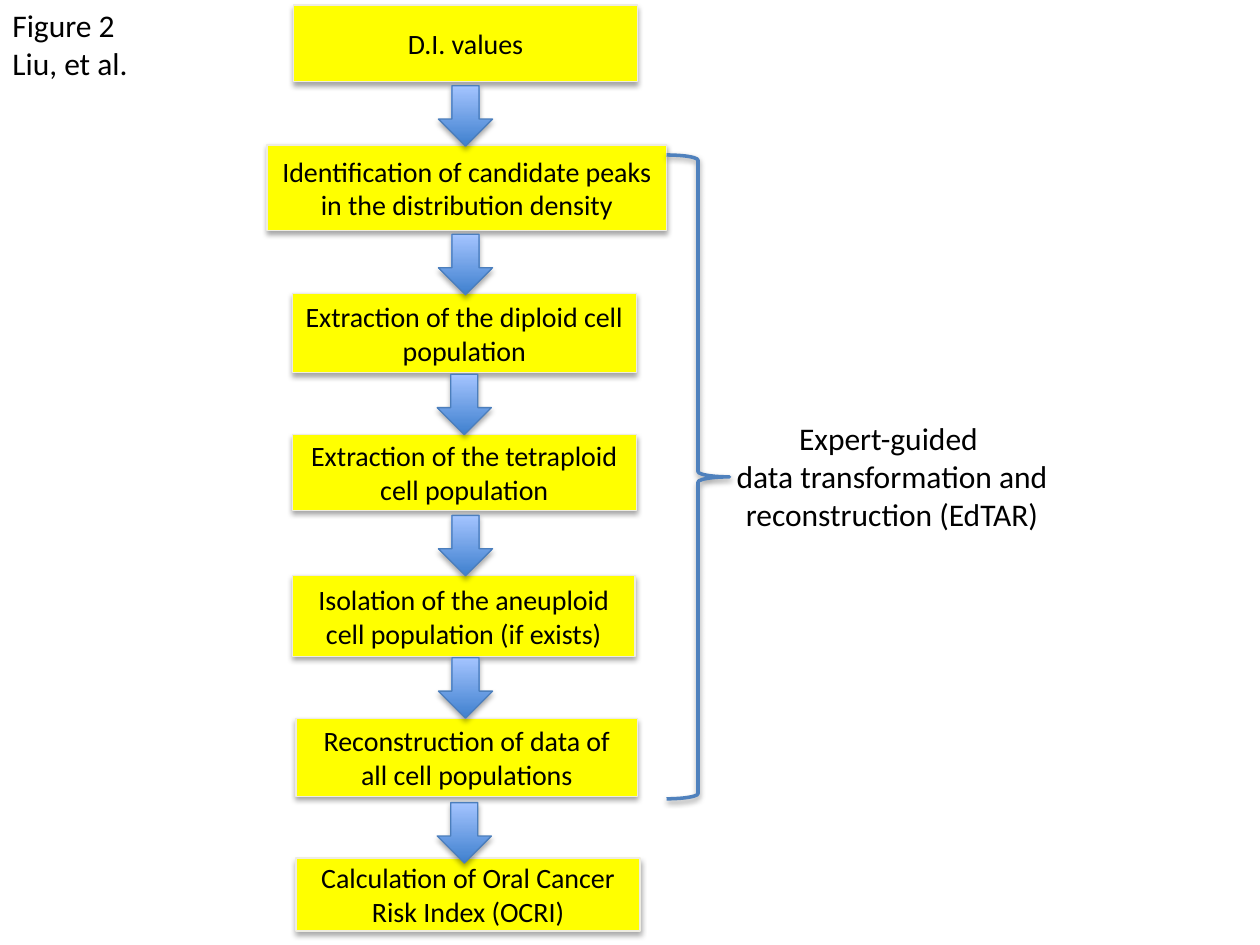
from lxml.etree import SubElement
from pptx import Presentation
from pptx.dml.color import RGBColor
from pptx.enum.shapes import MSO_SHAPE as Shape
from pptx.enum.text import MSO_ANCHOR as Anchor, MSO_AUTO_SIZE as AutoSize, PP_ALIGN as Align
from pptx.oxml.ns import qn
from pptx.util import Inches, Pt

BLACK = RGBColor(0, 0, 0)
YELLOW = RGBColor(0xFF, 0xFF, 0)
CREAM = RGBColor(0xEE, 0xEC, 0xE1)
DEEP_BLUE = RGBColor(0x3F, 0x80, 0xCE)
LIGHT_BLUE = RGBColor(0xA4, 0xC4, 0xFF)
ARROW_EDGE = RGBColor(0x4B, 0x7E, 0xBC)
BRACE_BLUE = RGBColor(0x4F, 0x81, 0xBD)

STEPS = [
    ("D.I. values", (2.33, 0.04, 2.73, 0.61)),
    ("Identification of candidate peaks in the distribution density", (2.12, 1.15, 3.17, 0.68)),
    ("Extraction of the diploid cell population", (2.32, 2.33, 2.73, 0.63)),
    ("Extraction of the tetraploid cell population", (2.32, 3.45, 2.73, 0.6)),
    ("Isolation of the aneuploid cell population (if exists)", (2.32, 4.57, 2.72, 0.64)),
    ("Reconstruction of data of all cell populations", (2.35, 5.7, 2.71, 0.62)),
    ("Calculation of Oral Cancer Risk Index (OCRI)", (2.35, 6.81, 2.73, 0.58)),
]
ARROW_CORNERS = [(3.48, 0.68), (3.48, 1.86), (3.47, 2.97), (3.48, 4.09), (3.48, 5.22), (3.47, 6.37)]
ARROW_SIZE = (0.43, 0.48)
BRACE_BOX = (5.29, 1.23, 0.5, 5.11)
CAPTION = ["Figure 2", "Liu, et al."]
STAGE = ["Expert-guided ", "data transformation and reconstruction (EdTAR)"]


def add_shadow(shape, opacity, distance):
    shape.shadow.inherit = False
    effects = shape._element.spPr.find(qn("a:effectLst"))
    shadow = SubElement(effects, qn("a:outerShdw"), blurRad="40000", dist=str(distance),
                        dir="5400000", rotWithShape="0")
    color = SubElement(shadow, qn("a:srgbClr"), val=str(BLACK))
    SubElement(color, qn("a:alpha"), val=str(opacity * 1000))


def add_figure(slide, kind, box, edge, width=0.75, opacity=35, distance=23000):
    shape = slide.shapes.add_shape(kind, *map(Inches, box))
    shape.line.color.rgb = edge
    shape.line.width = Pt(width)
    add_shadow(shape, opacity, distance)
    return shape


def write(frame, lines, size, align):
    for index, line in enumerate(lines):
        paragraph = frame.add_paragraph() if index else frame.paragraphs[0]
        paragraph.text = line
        paragraph.alignment = align
        paragraph.font.name = "Calibri"
        paragraph.font.size = Pt(size)
        paragraph.font.color.rgb = BLACK


def add_label(slide, lines, box, align, wrap):
    frame = slide.shapes.add_textbox(*map(Inches, box)).text_frame
    frame.word_wrap = wrap
    frame.auto_size = AutoSize.SHAPE_TO_FIT_TEXT
    write(frame, lines, 18, align)


def main():
    prs = Presentation()
    prs.slide_width, prs.slide_height = Inches(10), Inches(7.5)
    slide = prs.slides.add_slide(prs.slide_layouts[6])

    for text, box in STEPS:
        step = add_figure(slide, Shape.RECTANGLE, box, CREAM)
        step.fill.solid()
        step.fill.fore_color.rgb = YELLOW
        step.text_frame.vertical_anchor = Anchor.MIDDLE
        write(step.text_frame, [text], 16, Align.CENTER)

    for corner in ARROW_CORNERS:
        arrow = add_figure(slide, Shape.DOWN_ARROW, corner + ARROW_SIZE, ARROW_EDGE)
        arrow.fill.gradient()
        arrow.fill.gradient_angle = 90
        for stop, color, position in zip(arrow.fill.gradient_stops, (DEEP_BLUE, LIGHT_BLUE), (0, 1)):
            stop.color.rgb = color
            stop.position = position

    brace = add_figure(slide, Shape.RIGHT_BRACE, BRACE_BOX, BRACE_BLUE, 2, 38, 20000)
    brace.fill.background()

    add_label(slide, CAPTION, (0, 0, 1.13, 0.71), Align.LEFT, False)
    add_label(slide, STAGE, (5.71, 3.28, 2.74, 1.01), Align.CENTER, True)
    prs.save("out.pptx")


if __name__ == "__main__":
    main()
